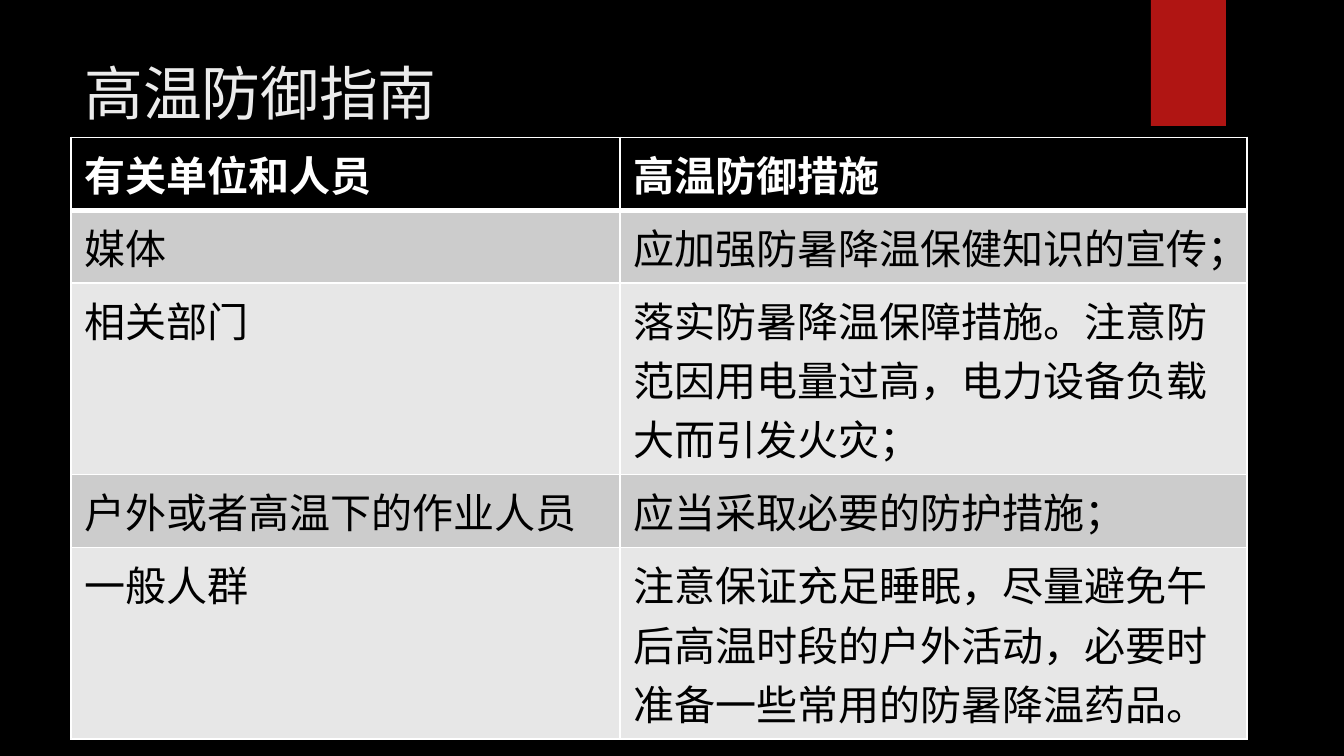
from dataclasses import dataclass

from lxml.etree import SubElement
from pptx import Presentation
from pptx.dml.color import RGBColor
from pptx.enum.lang import MSO_LANGUAGE_ID
from pptx.enum.shapes import MSO_SHAPE
from pptx.enum.text import MSO_ANCHOR, MSO_AUTO_SIZE, PP_ALIGN
from pptx.oxml.ns import qn
from pptx.util import Pt

COLORS = {
    "black": "000000",
    "white": "FFFFFF",
    "title": "EBEBEB",
    "red": "B01513",
    "dark_band": "CCCCCC",
    "light_band": "E7E7E7",
}


@dataclass
class Row:
    group: str
    measure: str
    height: float


ROWS = [
    Row("有关单位和人员", "高温防御措施", 21.6),
    Row("媒体", "应加强防暑降温保健知识的宣传；", 38.2),
    Row("相关部门", "落实防暑降温保障措施。注意防范因用电量过高，电力设备负载大而引发火灾；", 71.3),
    Row("户外或者高温下的作业人员", "应当采取必要的防护措施；", 38.2),
    Row("一般人群", "注意保证充足睡眠，尽量避免午后高温时段的户外活动，必要时准备一些常用的防暑降温药品。", 71.3),
]
COLUMN_WIDTHS = (294, 336)


def rgb(name: str) -> RGBColor:
    return RGBColor.from_string(COLORS[name])


def style_text(tf, font: str, size: float, color: str, bold: bool = False) -> None:
    for p in tf.paragraphs:
        p.alignment = PP_ALIGN.LEFT
        for r in p.runs:
            r.font.name = font
            r.font.size = Pt(size)
            r.font.bold = bold
            r.font.color.rgb = rgb(color)
            r.font.language_id = MSO_LANGUAGE_ID.SIMPLIFIED_CHINESE


def set_borders(cell, widths: dict[str, float]) -> None:
    tc_pr = cell._tc.get_or_add_tcPr()
    for i, (side, width) in enumerate(widths.items()):
        ln = SubElement(tc_pr, qn(f"a:ln{side}"), w=str(Pt(width)))
        fill = SubElement(ln, qn("a:solidFill"))
        SubElement(fill, qn("a:srgbClr"), val=COLORS["white"])
        tc_pr.insert(i, ln)


def add_guide_table(s) -> None:
    frame = s.shapes.add_table(len(ROWS), 2, Pt(38), Pt(73.6), Pt(630), Pt(282))
    table = frame.table
    for column, width in zip(table.columns, COLUMN_WIDTHS):
        column.width = Pt(width)
    for i, row in enumerate(ROWS):
        table.rows[i].height = Pt(row.height)
        header = i == 0
        fill = "black" if header else ("light_band", "dark_band")[i % 2]
        for j, text in enumerate((row.group, row.measure)):
            cell = table.cell(i, j)
            cell.text_frame.text = text
            style_text(cell.text_frame, "Roboto", 22, "white" if header else "black", header)
            cell.fill.solid()
            cell.fill.fore_color.rgb = rgb(fill)
            top, bottom = (3 if i == 1 else 1), (3 if header else 1)
            set_borders(cell, {"L": 1, "R": 1, "T": top, "B": bottom})
    frame.height = Pt(282)


def add_bookmark(s) -> None:
    sp = s.shapes.add_shape(MSO_SHAPE.RECTANGLE, Pt(616.5), Pt(0), Pt(40.3), Pt(67.5))
    sp.shadow.inherit = False
    sp.fill.solid()
    sp.fill.fore_color.rgb = rgb("red")
    sp.line.fill.background()


def set_title(s, text: str) -> None:
    sp = s.shapes.title
    sp.left, sp.top, sp.width, sp.height = Pt(38), Pt(26.6), Pt(555), Pt(82.8)
    tf = sp.text_frame
    tf.text = text
    tf.word_wrap = True
    tf.auto_size = MSO_AUTO_SIZE.NONE
    tf.vertical_anchor = MSO_ANCHOR.TOP
    style_text(tf, "Quicksand", 31.5, "title")


def main() -> None:
    prs = Presentation()
    prs.slide_width, prs.slide_height = Pt(720), Pt(405)
    s = prs.slides.add_slide(prs.slide_layouts[5])
    s.background.fill.solid()
    s.background.fill.fore_color.rgb = rgb("black")
    add_bookmark(s)
    set_title(s, "高温防御指南")
    add_guide_table(s)
    prs.save("out.pptx")


if __name__ == "__main__":
    main()
